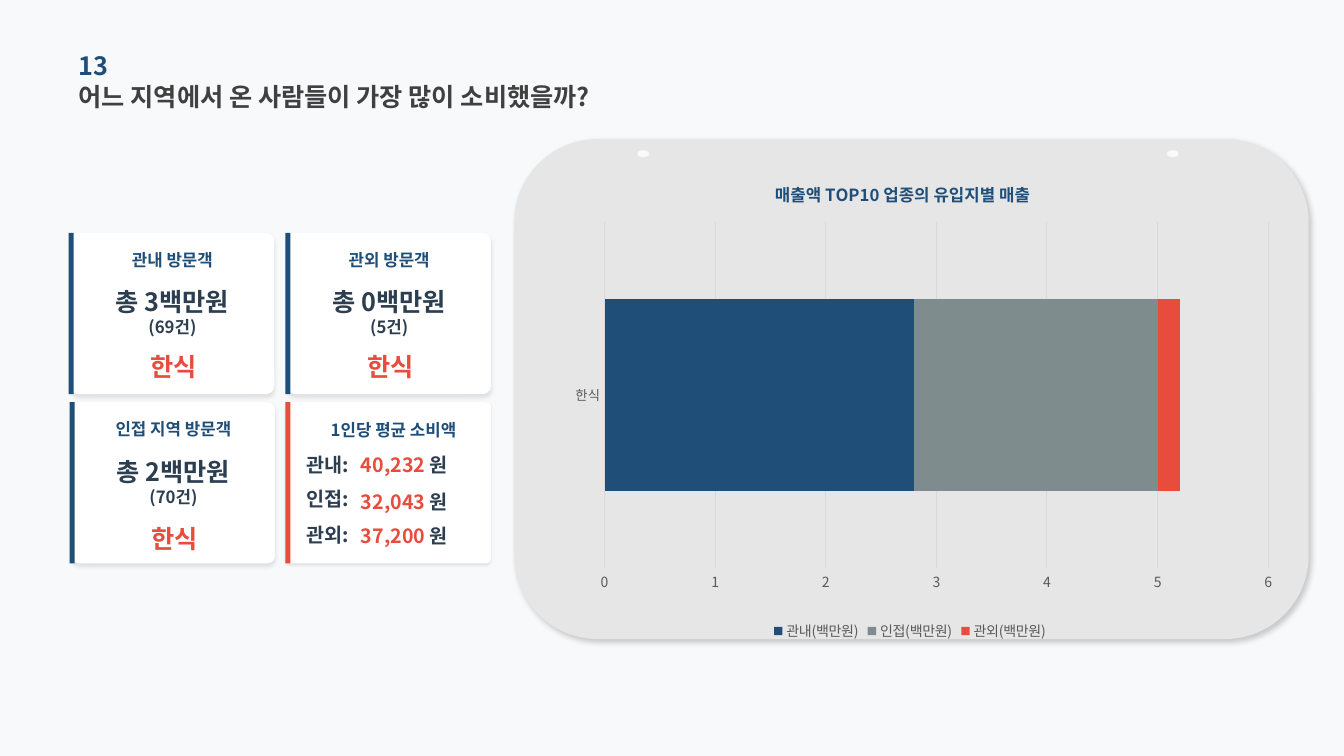
from lxml import etree
from pptx import Presentation
from pptx.chart.data import CategoryChartData
from pptx.dml.color import RGBColor
from pptx.enum.chart import XL_CHART_TYPE, XL_LEGEND_POSITION, XL_TICK_MARK
from pptx.enum.shapes import MSO_SHAPE
from pptx.enum.text import MSO_ANCHOR, MSO_AUTO_SIZE, PP_ALIGN
from pptx.oxml import parse_xml
from pptx.oxml.ns import nsdecls, qn
from pptx.util import Pt

RECT, ROUND, OVAL = MSO_SHAPE.RECTANGLE, MSO_SHAPE.ROUNDED_RECTANGLE, MSO_SHAPE.OVAL
LEFT, CENTER = PP_ALIGN.LEFT, PP_ALIGN.CENTER
NO_TICK = XL_TICK_MARK.NONE
FACE = "Noto Sans CJK KR"
COLORS = {
    "page": "F8F9FA", "panel": "E7E6E6", "card": "FFFFFF", "navy": "1F4E79",
    "ink": "2C3E50", "title": "404040", "red": "E74C3C", "gray": "7F8C8D",
    "label": "595959", "grid": "D9D9D9",
}

NUMBER = "13"
QUESTION = "어느 지역에서 온 사람들이 가장 많이 소비했을까?"
VISITOR_CARDS = [
    (68, 231, "관내 방문객", "총 3백만원", "(69건)", "한식", 109),
    (283, 231, "관외 방문객", "총 0백만원", "(5건)", "한식", 109),
    (69, 399, "인접 지역 방문객", "총 2백만원", "(70건)", "한식", 112),
]
CARD_W, CARD_H, STRIPE_W = 202, 160, 5
SPENDING_LEFT, SPENDING_TOP = 283, 399
SPENDING_TITLE = "1인당 평균 소비액"
SPENDING = [
    ("관내:", 446, "40,232 ", 446),
    ("인접:", 480, "32,043 ", 483),
    ("관외:", 515, "37,200 ", 517),
]
UNIT = "원"
PIN_LEFTS = (632, 1157)
CHART_TITLE = "매출액 TOP10 업종의 유입지별 매출"
CATEGORIES = ["한식"]
SALES = [("관내(백만원)", 2.8, "navy"), ("인접(백만원)", 2.2, "gray"),
         ("관외(백만원)", 0.2, "red")]
PLOT = {"x": 0.102, "y": 0.133, "w": 0.865, "h": 0.709}
TITLE_SPOT = {"x": 0.32, "y": 0.04}


def px(*lengths):
    return [length * 9144 for length in lengths]


def rgb(color):
    return RGBColor.from_string(COLORS[color])


def style(font, size, color, bold=False):
    font.size, font.bold, font.name = Pt(size), bold, FACE
    font.color.rgb = rgb(color)
    etree.SubElement(font._element, qn("a:ea")).set("typeface", FACE)


def add_block(kind, box, color, radius=None, shadow=None):
    block = shapes.add_shape(kind, *px(*box))
    block.fill.solid()
    block.fill.fore_color.rgb = rgb(color)
    block.line.fill.background()
    block.shadow.inherit = False
    if radius is not None:
        block.adjustments[0] = radius
    if shadow:
        alpha, blur, distance, angle = shadow
        block._element.spPr.find(qn("a:effectLst")).append(parse_xml(
            f'<a:outerShdw {nsdecls("a")} blurRad="{Pt(blur)}" dist="{Pt(distance)}" '
            f'dir="{angle * 60000}" algn="ctr" rotWithShape="0"><a:srgbClr val="000000">'
            f'<a:alpha val="{alpha * 1000}"/></a:srgbClr></a:outerShdw>'))


def write(holder, text, size, color, align=LEFT):
    frame = holder.text_frame
    frame.word_wrap, frame.auto_size = True, MSO_AUTO_SIZE.NONE
    frame.vertical_anchor = MSO_ANCHOR.MIDDLE
    frame.margin_left = frame.margin_right = frame.margin_top = frame.margin_bottom = 0
    paragraph = frame.paragraphs[0]
    paragraph.alignment = align
    paragraph.add_run().text = text
    style(paragraph.font, size, color, True)
    return paragraph


def add_text(box, text, size, color, align=LEFT):
    return write(shapes.add_textbox(*px(*box)), text, size, color, align)


def place(parent, spot, inner=False):
    for old in parent.findall(qn("c:layout")):
        parent.remove(old)
    target = '<c:layoutTarget val="inner"/>' if inner else ""
    modes = "".join(f'<c:{key}Mode val="edge"/>' for key in ("x", "y"))
    values = "".join(f'<c:{key} val="{value}"/>' for key, value in spot.items())
    return parse_xml(f'<c:layout {nsdecls("c")}><c:manualLayout>{target}{modes}{values}'
                     '</c:manualLayout></c:layout>')


def add_sales_chart(box):
    data = CategoryChartData()
    data.categories = CATEGORIES
    for name, value, _ in SALES:
        data.add_series(name, [value])
    chart = shapes.add_chart(XL_CHART_TYPE.BAR_STACKED, *px(*box), data).chart
    style(chart.font, 10, "label")

    heading = chart.chart_title.text_frame.paragraphs[0]
    heading.add_run().text = CHART_TITLE
    style(heading.font, 12, "navy", True)
    title = chart.chart_title._element
    title.find(qn("c:tx")).addnext(place(title, TITLE_SPOT))
    chart.chart_title.include_in_layout = False

    chart.has_legend = True
    chart.legend.position = XL_LEGEND_POSITION.BOTTOM
    chart.legend.include_in_layout = False
    style(chart.legend.font, 10, "label")

    bars = chart.plots[0]
    bars.gap_width, bars.overlap, bars.vary_by_categories = 80, 100, False
    for series, (_, _, color) in zip(bars.series, SALES):
        series.format.fill.solid()
        series.format.fill.fore_color.rgb = rgb(color)

    foods, amounts = chart.category_axis, chart.value_axis
    for axis, size in ((foods, 9.5), (amounts, 10)):
        axis.major_tick_mark = axis.minor_tick_mark = NO_TICK
        style(axis.tick_labels.font, size, "label")
    amounts.minimum_scale, amounts.maximum_scale, amounts.major_unit = 0, 6, 1
    amounts.format.line.fill.background()
    for line in (foods.format.line, amounts.major_gridlines.format.line):
        line.color.rgb = rgb("grid")
        line.width = Pt(0.75)

    area = chart._chartSpace.chart.plotArea
    area.insert(0, place(area, PLOT, True))


deck = Presentation()
deck.slide_width, deck.slide_height = px(1333, 750)
slide = deck.slides.add_slide(deck.slide_layouts[5])
slide.background.fill.solid()
slide.background.fill.fore_color.rgb = rgb("page")
shapes = slide.shapes

question = shapes.title
question.left, question.top, question.width, question.height = px(78, 75, 535, 41)
write(question, QUESTION, 18, "title")
add_block(ROUND, (510, 138, 788, 496), "panel", shadow=(20, 4, 3, 45))
add_text((78, 44, 452, 41), NUMBER, 18, "navy")
for left in PIN_LEFTS:
    add_block(OVAL, (left, 149, 12, 7), "page")

add_block(ROUND, (SPENDING_LEFT, SPENDING_TOP, 204, CARD_H), "card", 0.03, (10, 2, 1, 90))
add_block(RECT, (SPENDING_LEFT, SPENDING_TOP, STRIPE_W, CARD_H), "red")
add_text((328, 414, 140, 25), SPENDING_TITLE, 12, "navy")
for region, region_top, amount, amount_top in SPENDING:
    add_text((304, region_top, 59, 30), region, 14, "ink")
    unit = add_text((358, amount_top, 445, 29), amount, 14, "red").add_run()
    unit.text = UNIT
    unit.font.color.rgb = rgb("ink")

for left, top, visitors, total, count, food, food_drop in VISITOR_CARDS:
    body = left + 2
    add_block(ROUND, (body, top, CARD_W, CARD_H), "card", 0.05, (10, 3, 2, 90))
    add_block(RECT, (left, top, STRIPE_W, CARD_H), "navy")
    add_text((body, top + 11, CARD_W, 31), visitors, 12, "navy", CENTER)
    sales = add_text((body, top + 55, CARD_W, 47), total, 18, "ink", CENTER)
    sales.add_line_break()
    cases = sales.add_run()
    cases.text = count
    cases.font.size = Pt(12)
    add_text((left + 5, top + food_drop, 199, 47), food, 18, "red", CENTER)

add_sales_chart((522, 156, 761, 484))
deck.save("out.pptx")
